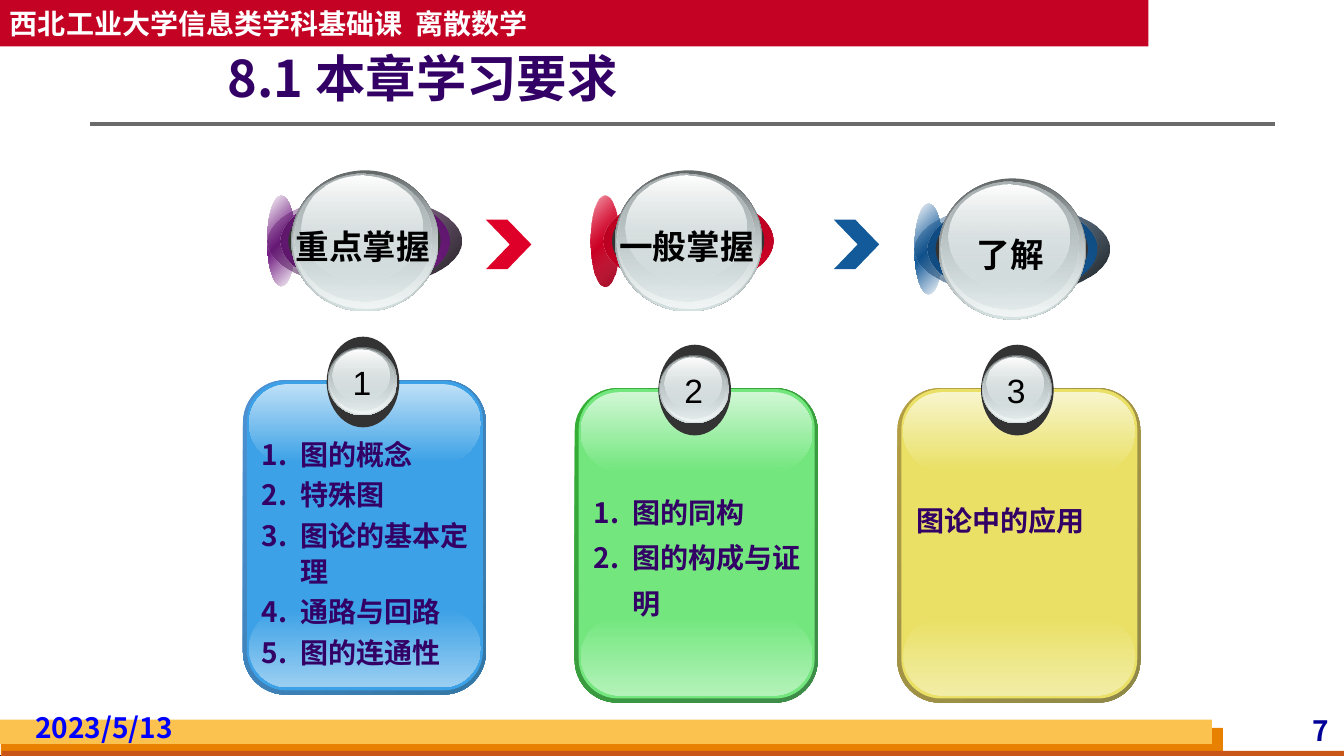
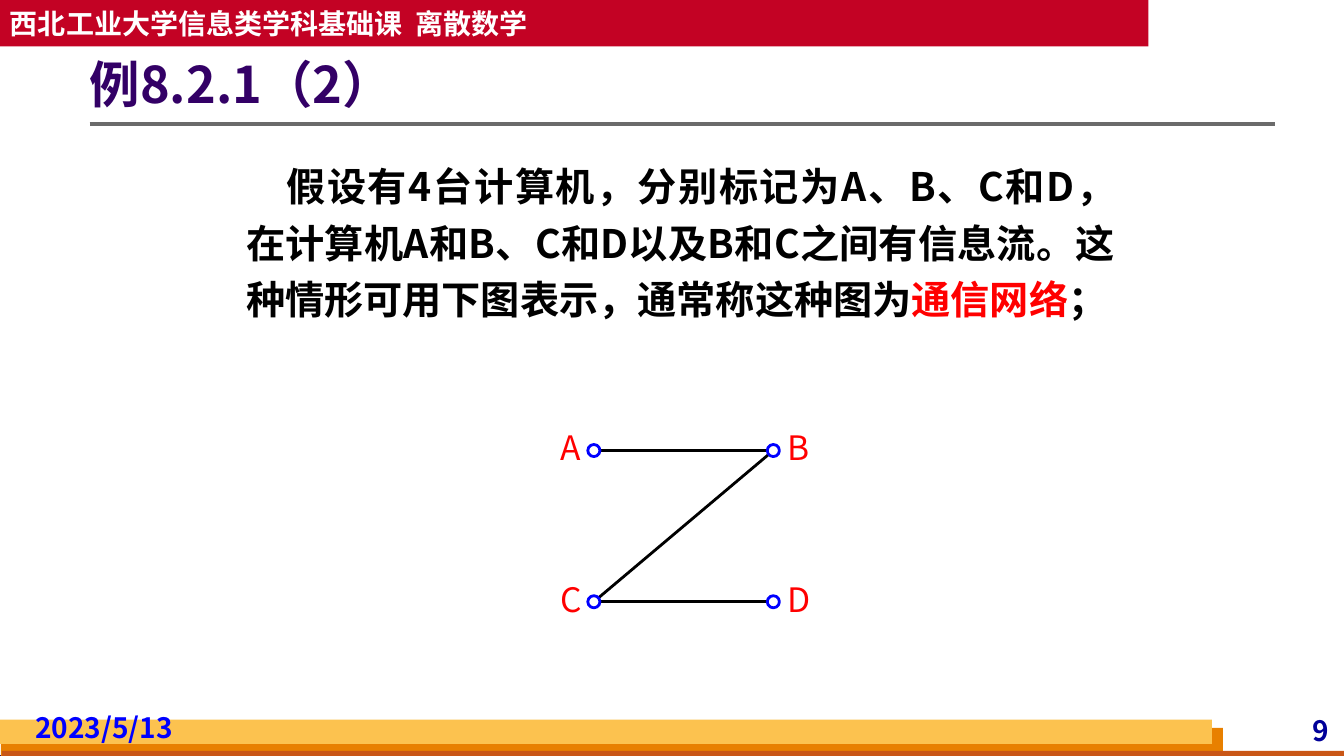
import pptx
import pptx.dml.color
import pptx.enum.lang
import pptx.enum.shapes
import pptx.enum.text
import pptx.oxml
import pptx.oxml.ns
import pptx.util

Inches, Pt = pptx.util.Inches, pptx.util.Pt
RGB = pptx.dml.color.RGBColor
SHAPE = pptx.enum.shapes.MSO_SHAPE
ALIGN = pptx.enum.text.PP_ALIGN
ANCHOR = pptx.enum.text.MSO_ANCHOR
qn = pptx.oxml.ns.qn

HEAVY, PLAIN = "Noto Sans CJK SC", "Arial"

BLACK, WHITE = RGB(0, 0, 0), RGB(255, 255, 255)
BACKDROP = RGB(0xD8, 0xDA, 0xDA)
INDIGO = RGB(0x33, 0x00, 0x66)
BANNER_RED = RGB(0xC3, 0x02, 0x24)
RULE_GREY = RGB(0x6B, 0x6B, 0x6B)
ORANGE, RUST, AMBER = RGB(0xE8, 0x80, 0x00), RGB(0xC9, 0x56, 0x16), RGB(0xFC, 0xC2, 0x4F)
NUMBER_BLUE, BLUE, RED = RGB(0, 0, 0x99), RGB(0, 0, 0xFF), RGB(0xFF, 0, 0)
CHARCOAL = RGB(0x33, 0x33, 0x33)
STEEL, SILVER = RGB(0x63, 0x68, 0x69), RGB(0xAA, 0xB2, 0xB3)
GLASS, FROST = RGB(0xD6, 0xE1, 0xE2), RGB(0xF1, 0xF5, 0xF5)
PURPLE, CRIMSON, NAVY = RGB(0x71, 0x1C, 0x81), RGB(0xDF, 0x00, 0x29), RGB(0x13, 0x5A, 0x9A)


def gradient(shape, angle, *stops):
    """Fill with (colour, opacity percent) stops; the angle runs clockwise."""
    shape.fill.gradient()
    grad = shape.element.spPr.find(qn("a:gradFill"))
    marks = "".join(
        f'<a:gs pos="{100000 * i // (len(stops) - 1)}"><a:srgbClr val="{colour}">'
        f'<a:alpha val="{opacity * 1000}"/></a:srgbClr></a:gs>'
        for i, (colour, opacity) in enumerate(stops))
    grad.getparent().replace(grad, pptx.oxml.parse_xml(
        f'<a:gradFill {pptx.oxml.ns.nsdecls("a")} rotWithShape="1"><a:gsLst>{marks}</a:gsLst>'
        f'<a:lin ang="{angle * 60000}" scaled="0"/></a:gradFill>'))


def add_shape(slide, kind, left, top, width, height, fill=None, line=None, weight=0.75, adj=None):
    shape = slide.shapes.add_shape(kind, Inches(left), Inches(top), Inches(width), Inches(height))
    shape.shadow.inherit = False
    if fill is not None:
        shape.fill.solid()
        shape.fill.fore_color.rgb = fill
    if line is None:
        shape.line.fill.background()
    else:
        shape.line.color.rgb = line
        shape.line.width = Pt(weight)
    if adj is not None:
        shape.adjustments[0] = adj
    return shape


def add_line(slide, start, end, colour, weight):
    line = slide.shapes.add_connector(
        pptx.enum.shapes.MSO_CONNECTOR.STRAIGHT, *(Inches(v) for v in (*start, *end)))
    line.line.color.rgb = colour
    line.line.width = Pt(weight)
    line.element.spPr.append(pptx.oxml.parse_xml(f'<a:effectLst {pptx.oxml.ns.nsdecls("a")}/>'))
    return line


def add_run(paragraph, text, size, colour, bold=True, font=HEAVY):
    run = paragraph.add_run()
    run.text = text
    run.font.size, run.font.bold, run.font.name = Pt(size), bold, font
    run.font.color.rgb = colour
    run.font.language_id = pptx.enum.lang.MSO_LANGUAGE_ID.SIMPLIFIED_CHINESE
    east_asian = run.font._element.makeelement(qn("a:ea"), {"typeface": HEAVY})
    run.font._element.find(qn("a:latin")).addnext(east_asian)


def set_frame(frame, insets=(0.1, 0.05, 0.1, 0.05), anchor=ANCHOR.TOP):
    frame.word_wrap = True
    frame.auto_size = pptx.enum.text.MSO_AUTO_SIZE.NONE
    frame.vertical_anchor = anchor
    (frame.margin_left, frame.margin_top,
     frame.margin_right, frame.margin_bottom) = (Inches(v) for v in insets)
    return frame.paragraphs[0]


def add_label(slide, left, top, width, height, text, size, colour, align=ALIGN.LEFT,
              insets=(0.1, 0.05, 0.1, 0.05), **style):
    label = slide.shapes.add_textbox(Inches(left), Inches(top), Inches(width), Inches(height))
    paragraph = set_frame(label.text_frame, insets)
    paragraph.alignment = align
    add_run(paragraph, text, size, colour, **style)


def move(placeholder, left, top, width, height):
    placeholder.left, placeholder.top = Inches(left), Inches(top)
    placeholder.width, placeholder.height = Inches(width), Inches(height)


def dress_master(prs, slide):
    """Draw the shared bands on a slide, then move them behind all else on the master."""
    banner = add_shape(slide, SHAPE.RECTANGLE, 0, 0, 11.39, 0.46, BANNER_RED)
    heading = set_frame(banner.text_frame, anchor=ANCHOR.MIDDLE)
    heading.alignment = ALIGN.LEFT
    add_run(heading, "西北工业大学信息类学科基础课  离散数学", 20, WHITE)
    bands = [
        add_shape(slide, SHAPE.RECTANGLE, 0, 0, 13.34, 7.5, WHITE, INDIGO),
        add_shape(slide, SHAPE.RECTANGLE, 0.01, 7.22, 12.12, 0.28, ORANGE),
        add_shape(slide, SHAPE.RECTANGLE, 0.02, 7.45, 13.33, 0.08, RUST),
        add_shape(slide, SHAPE.RECTANGLE, 0, 7.14, 12.02, 0.24, AMBER),
        add_line(slide, (0.89, 1.23), (12.65, 1.23), RULE_GREY, 3),
        banner,
    ]
    master = prs.slide_master
    master.background.fill.solid()
    master.background.fill.fore_color.rgb = BACKDROP
    for i, band in enumerate(bands):
        band.element.xpath(".//p:cNvPr")[0].set("id", str(100 + i))
        master.shapes.element.insert(2 + i, band.element)


def add_frame_text(slide, title, title_box, number):
    """Title, date and slide number."""
    move(slide.shapes.title, *title_box)
    paragraph = set_frame(slide.shapes.title.text_frame, (0, 0.05, 0.1, 0.05), ANCHOR.MIDDLE)
    paragraph.alignment = ALIGN.LEFT
    paragraph.line_spacing = 0.9
    add_run(paragraph, title, 36, INDIGO)
    footer = {"insets": (0.04, 0, 0.04, 0)}
    add_label(slide, 0.31, 7.05, 2.21, 0.33, "2023/5/13", 20, BLUE, **footer)
    add_label(slide, 11.6, 7.08, 1.62, 0.33, number, 20, NUMBER_BLUE, ALIGN.RIGHT, **footer)


def add_glass_ball(slide, left, top, width, height):
    layers = [  # offset and size as shares of the ball, then the colours from top to bottom
        (0, 0, 1, 1, (STEEL, 100), (GLASS, 100)),
        (0.01, 0.01, 0.98, 0.97, (GLASS, 0), (FROST, 100)),
        (0.02, 0.02, 0.93, 0.91, (SILVER, 100), (GLASS, 48)),
        (0.07, 0.04, 0.82, 0.74, (WHITE, 100), (GLASS, 38)),
    ]
    for dx, dy, w, h, *stops in layers:
        layer = add_shape(slide, SHAPE.OVAL, left + dx * width, top + dy * height,
                          w * width, h * height)
        gradient(layer, 90, *stops)


def add_level(slide, left, top, text, tint, rim, edge, shade, shade_width):
    """A glass ball on a coloured disc, with the name of a level of mastery."""
    discs = [
        (0, 0.28, 45, (WHITE, 100), (tint, 100), (WHITE, 100)),
        (0, shade_width, 45, (tint, 32), shade),
        (0.13, 1.68, 315, (rim, 100), (tint, 100), (rim, 100)),
        (0.13, 1.68, 45, (edge, 100), (tint, 0)),
    ]
    for dx, width, angle, *stops in discs:
        gradient(add_shape(slide, SHAPE.OVAL, left + dx, top, width, 0.9), angle, *stops)
    add_shape(slide, SHAPE.OVAL, left + 0.21, top, 1.51, 0.9, CHARCOAL)
    add_glass_ball(slide, left + 0.24, top - 0.25, 1.46, 1.4)
    add_label(slide, left + 0.15, top + 0.25, 1.6, 0.5, text, 24, BLACK, ALIGN.CENTER)


def add_card(slide, left, top, number, colours, topics, text_top, spacing, gap=0):
    """A numbered card; two or more topics become a numbered list."""
    rim_light, rim_dark, face, foot, head = colours
    rim = add_shape(slide, SHAPE.ROUNDED_RECTANGLE, left, top, 2.41, 3.12, adj=0.175)
    gradient(rim, 45, (rim_light, 100), (rim_dark, 100))
    add_shape(slide, SHAPE.ROUNDED_RECTANGLE, left + 0.04, top + 0.01, 2.34, 3.07, face, adj=0.167)
    for dy, upper, lower in ((2.27, face, foot), (0.04, head, face)):
        gloss = add_shape(slide, SHAPE.ROUNDED_RECTANGLE, left + 0.06, top + dy, 2.3, 0.78, adj=0.5)
        gradient(gloss, 90, (upper, 100), (lower, 100))

    add_shape(slide, SHAPE.OVAL, left + 0.83, top - 0.43, 0.72, 0.9, CHARCOAL)
    add_glass_ball(slide, left + 0.84, top - 0.33, 0.69, 0.68)
    add_label(slide, left + 0.98, top - 0.23, 0.4, 0.5, number, 24, BLACK, ALIGN.CENTER,
              bold=False, font=PLAIN)

    listing = slide.shapes.add_textbox(Inches(left + 0.09), Inches(top + text_top),
                                       Inches(2.29), Inches(3 - text_top))
    paragraph = set_frame(listing.text_frame)
    for i, topic in enumerate(topics):
        if i:
            paragraph = listing.text_frame.add_paragraph()
            paragraph.space_before = Pt(gap)
        paragraph.line_spacing = spacing
        add_run(paragraph, topic, 20, INDIGO)
        if len(topics) > 1:
            props = paragraph._p.get_or_add_pPr()
            props.set("marL", str(Inches(0.38)))
            props.set("indent", str(-Inches(0.38)))
            props.append(props.makeelement(qn("a:buAutoNum"), {"type": "arabicPeriod"}))


def build_requirements(slide):
    add_frame_text(slide, "8.1 本章学习要求", (2.26, 0.46, 7.78, 0.69), "7")
    for left, colour in ((4.82, CRIMSON), (8.27, NAVY)):
        add_shape(slide, SHAPE.CHEVRON, left, 2.18, 0.45, 0.49, colour, adj=0.525)

    levels = [
        (1.94, "重点掌握", PURPLE, RGB(0x57, 0x15, 0x63), RGB(0x5D, 0x17, 0x6A), (BLACK, 90), 1.93),
        (1.94, "一般掌握", CRIMSON, RGB(0xAB, 0x00, 0x1F), RGB(0xB7, 0x00, 0x22),
         (RGB(0xA0, 0x00, 0x1D), 100), 0.28),
        (2.02, "了解", NAVY, RGB(0x0F, 0x45, 0x76), RGB(0x10, 0x4A, 0x7E), (BLACK, 90), 1.93),
    ]
    for i, (top, *level) in enumerate(levels):
        add_level(slide, 2.65 + 3.21 * i, top, *level)

    sky = (RGB(0x4E, 0x91, 0xD4), RGB(0x34, 0x77, 0xA4), RGB(0x3C, 0xA1, 0xE6),
           RGB(0x9B, 0xCF, 0xF2), RGB(0xBE, 0xE0, 0xF7))
    green = (RGB(0x34, 0xB0, 0x34), RGB(0x3F, 0x8B, 0x4A), RGB(0x73, 0xE7, 0x7E),
             RGB(0xB3, 0xF2, 0xB9), RGB(0xD0, 0xF7, 0xD4))
    yellow = (RGB(0xB5, 0x9F, 0x43), RGB(0x8F, 0x88, 0x49), RGB(0xE9, 0xE0, 0x65),
              RGB(0xF2, 0xED, 0xA6), RGB(0xF8, 0xF5, 0xCC))
    add_card(slide, 2.41, 3.77, "1", sky,
             ["图的概念", "特殊图", "图论的基本定理", "通路与回路", "图的连通性"], 0.5, 1.05, 4)
    add_card(slide, 5.7, 3.85, "2", green, ["图的同构", "图的构成与证明"], 0.9, 1.35)
    add_card(slide, 8.9, 3.85, "3", yellow, ["图论中的应用"], 1, 1.3)


def add_network(slide, left, top, width, height):
    """Four computers at the corners of the box and the links between them."""
    computers = {"A": (left, top), "B": (left + width, top),
                 "C": (left, top + height), "D": (left + width, top + height)}
    for start, end in ("AB", "CD", "BC"):
        add_line(slide, computers[start], computers[end], BLACK, 2)
    for name, (x, y) in computers.items():
        add_shape(slide, SHAPE.OVAL, x - 0.06, y - 0.06, 0.12, 0.12, WHITE, BLUE, 2)
        label_left = x - 0.33 if x == left else x + 0.14
        add_label(slide, label_left, y - 0.23, 0.25, 0.4, name, 24, RED,
                  insets=(0, 0, 0, 0), bold=False)


def build_example(slide):
    add_frame_text(slide, "例8.2.1（2）", (0.89, 0.36, 11.76, 1.01), "9")
    statement = slide.placeholders[1]
    move(statement, 2.34, 1.47, 8.82, 2.4)
    paragraph = set_frame(statement.text_frame)
    paragraph.alignment = ALIGN.JUSTIFY
    paragraph.line_spacing = 1.2
    paragraph.space_before = Pt(0)
    props = paragraph._p.get_or_add_pPr()
    props.set("marL", "0")
    props.set("indent", str(Inches(0.4)))
    props.append(props.makeelement(qn("a:buNone"), {}))
    add_run(paragraph, "假设有4台计算机，分别标记为A、B、C和D，在计算机A和B、C和D以及B和C之间有"
            "信息流。这种情形可用下图表示，通常称这种图为", 28, BLACK)
    add_run(paragraph, "通信网络", 28, RED)
    add_run(paragraph, "；", 28, BLACK)
    add_network(slide, 5.89, 4.47, 1.78, 1.5)


def main():
    prs = pptx.Presentation()
    prs.slide_width, prs.slide_height = Inches(13.33), Inches(7.5)
    requirements = prs.slides.add_slide(prs.slide_layouts[5])
    dress_master(prs, requirements)
    build_requirements(requirements)
    build_example(prs.slides.add_slide(prs.slide_layouts[1]))
    prs.save("out.pptx")


if __name__ == "__main__":
    main()
